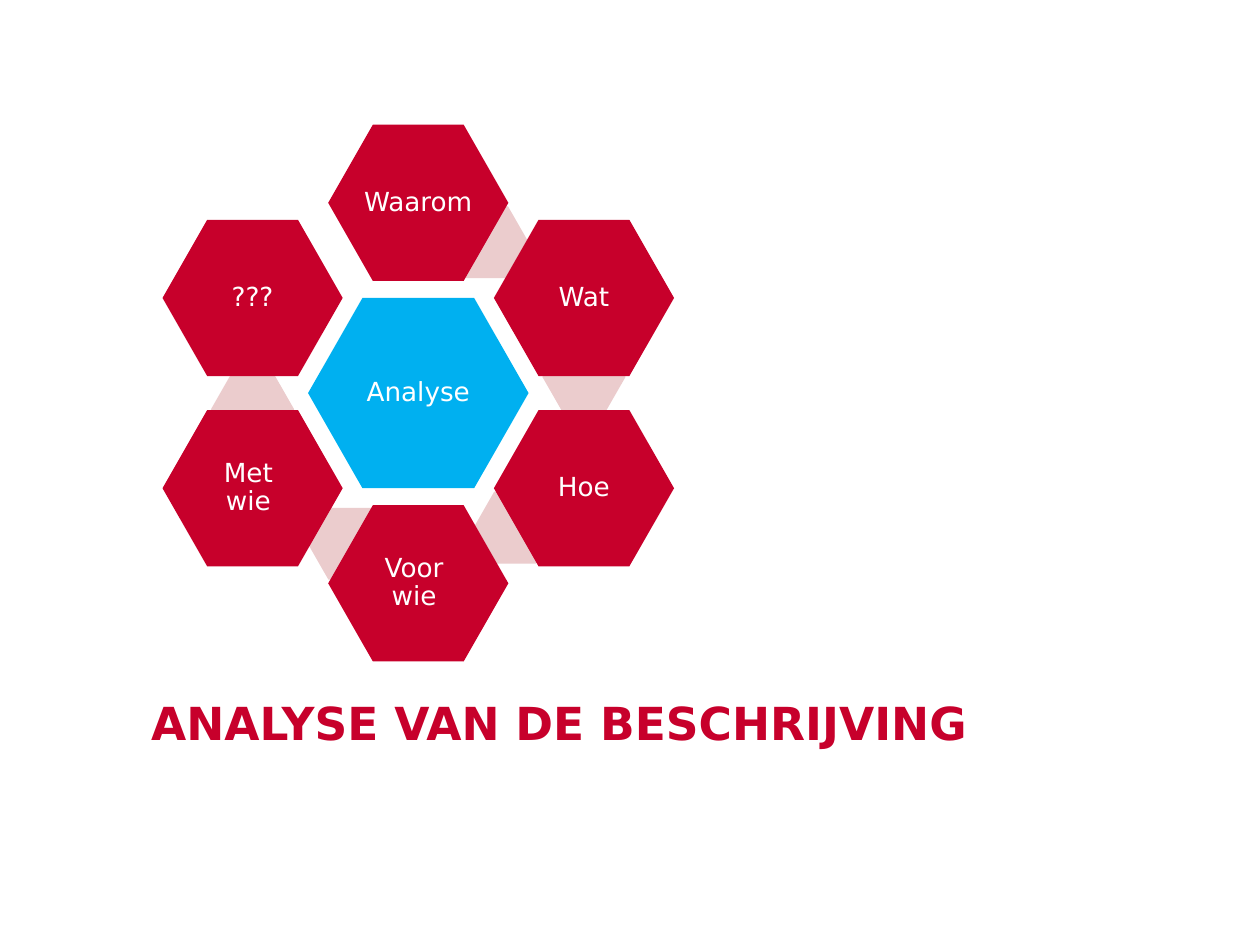
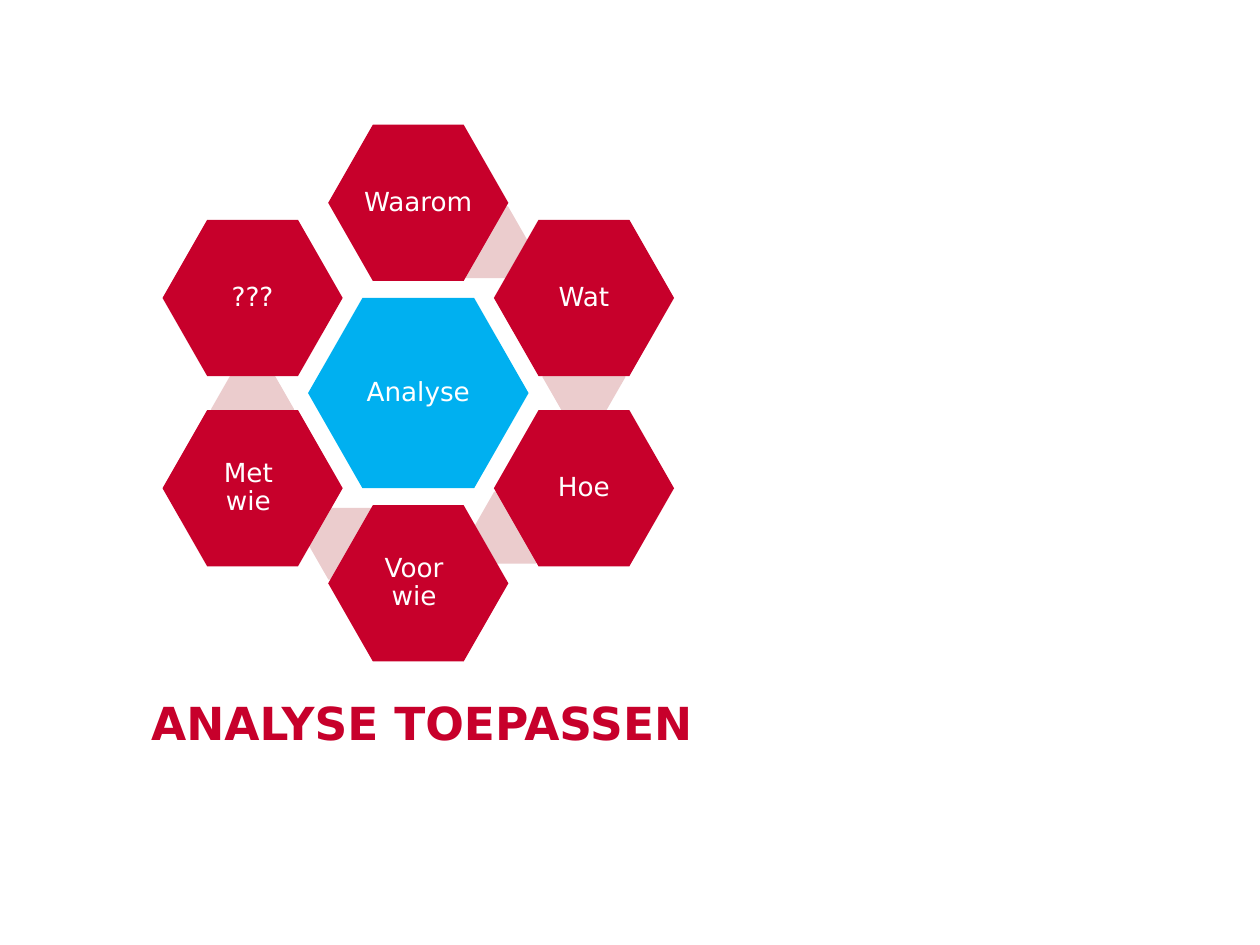
from pptx import Presentation
from pptx.dml.color import RGBColor
from pptx.enum.shapes import MSO_SHAPE
from pptx.enum.text import MSO_ANCHOR, MSO_AUTO_SIZE, PP_ALIGN
from pptx.util import Inches, Pt

HEXAGON = MSO_SHAPE.HEXAGON
TOP, MIDDLE = MSO_ANCHOR.TOP, MSO_ANCHOR.MIDDLE
LEFT, CENTER = PP_ALIGN.LEFT, PP_ALIGN.CENTER
NO_AUTOFIT = MSO_AUTO_SIZE.NONE

SLIDE_WIDTH, SLIDE_HEIGHT = 10, 7.5
TITLE_ONLY = 5
FONT = "DejaVu Sans"
COLOURS = {"red": "C7002B", "pink": "EBCCCD", "blue": "00B0F0", "white": "FFFFFF"}

# Boxes are left, top, width, height in inches
TITLE_BOX = (1.2, 5.56, 7.6, 0.39)
FLOWER_BOX = (1.29, 0.99, 4.06, 4.26)
CORE_SIZE, PETAL_SIZE, LINK_SIZE = (1.75, 1.51), (1.43, 1.24), (0.66, 0.57)
LINK_SHARE = 0.415  # how far a link lies on the way to the next petal

TITLE_STYLE = {
    "font": {"name": FONT, "size": Pt(26), "bold": True},
    "paragraph": {"alignment": LEFT, "line_spacing": Pt(28)},
    "frame": {"vertical_anchor": TOP, "word_wrap": True, "auto_size": NO_AUTOFIT},
    "margin": 0,
    "colour": "red",
}
LABEL_STYLE = {
    "font": {"name": FONT, "size": Pt(15), "bold": False},
    "paragraph": {"alignment": CENTER, "line_spacing": 0.9},
    "frame": {"vertical_anchor": MIDDLE, "word_wrap": True, "auto_size": NO_AUTOFIT},
    "margin": 0.02,
    "colour": "white",
}

CORE_LABEL = "Analyse"
# Label, column and row of each petal, clockwise from the top
PETALS = [
    ("Waarom", 1, 0),
    ("Wat", 2, 1),
    ("Hoe", 2, 3),
    ("Voor \nwie ", 1, 4),
    ("Met \nwie ", 0, 3),
    ("???", 0, 1),
]
TITLES = ["ANALYSE VAN DE BESCHRIJVING", "ANALYSE TOEPASSEN"]


def set_values(target, values):
    for name, value in values.items():
        setattr(target, name, value)


def write_text(shape, text, style):
    frame = shape.text_frame
    set_values(frame, style["frame"])
    for side in ("left", "top", "right", "bottom"):
        setattr(frame, f"margin_{side}", Inches(style["margin"]))
    paragraph = frame.paragraphs[0]
    paragraph.text = text
    set_values(paragraph, style["paragraph"])
    for run in paragraph.runs:
        set_values(run.font, style["font"])
        run.font.color.rgb = RGBColor.from_string(COLOURS[style["colour"]])


def add_hexagon(group, center, size, colour, label=None):
    (x, y), (width, height) = center, size
    shape = group.shapes.add_shape(
        HEXAGON, Inches(x - width / 2), Inches(y - height / 2), Inches(width), Inches(height)
    )
    shape.adjustments[0] = 0.286
    shape.shadow.inherit = False
    shape.fill.solid()
    shape.fill.fore_color.rgb = RGBColor.from_string(COLOURS[colour])
    shape.line.fill.background()
    if label:
        write_text(shape, label, LABEL_STYLE)


def add_title(slide, text, box):
    title = slide.shapes.title
    set_values(title, dict(zip(("left", "top", "width", "height"), map(Inches, box))))
    write_text(title, text, TITLE_STYLE)


def add_flower(slide, box):
    left, top, width, height = box
    petal_width, petal_height = PETAL_SIZE
    column_step = (width - petal_width) / 2
    row_step = (height - petal_height) / 4
    centers = [
        (left + petal_width / 2 + column * column_step, top + petal_height / 2 + row * row_step)
        for _, column, row in PETALS
    ]
    group = slide.shapes.add_group_shape()

    # Core
    add_hexagon(group, (left + width / 2, top + height / 2), CORE_SIZE, "blue", CORE_LABEL)

    # Petals, each but the last with a link to the next one behind it
    for index, (label, _, _) in enumerate(PETALS):
        center = centers[index]
        if index + 1 < len(PETALS):
            following = centers[index + 1]
            link = [a + LINK_SHARE * (b - a) for a, b in zip(center, following)]
            add_hexagon(group, link, LINK_SIZE, "pink")
        add_hexagon(group, center, PETAL_SIZE, "red", label)


def main():
    presentation = Presentation()
    presentation.slide_width = Inches(SLIDE_WIDTH)
    presentation.slide_height = Inches(SLIDE_HEIGHT)
    for title in TITLES:
        slide = presentation.slides.add_slide(presentation.slide_layouts[TITLE_ONLY])
        add_title(slide, title, TITLE_BOX)
        add_flower(slide, FLOWER_BOX)
    presentation.save("out.pptx")


if __name__ == "__main__":
    main()
